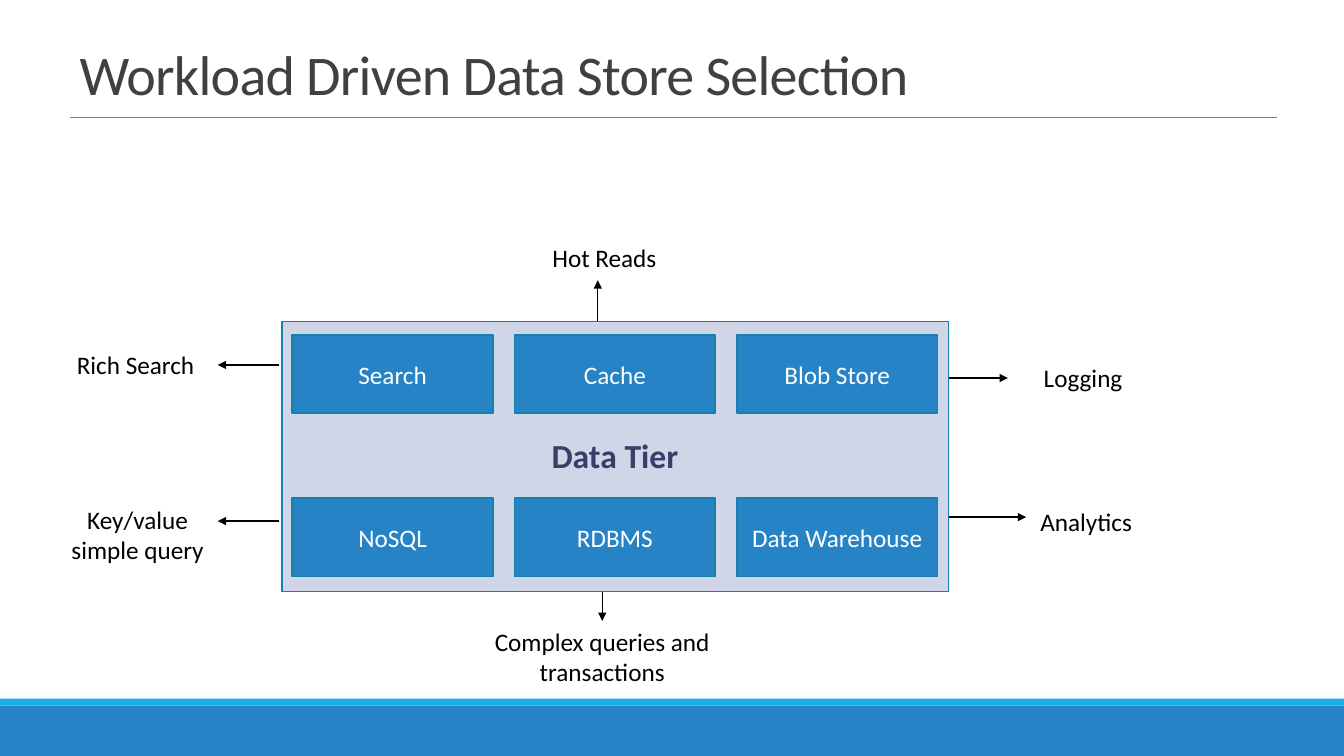
from lxml import etree
from pptx import Presentation
from pptx import util as u
from pptx.dml.color import RGBColor
from pptx.enum import shapes, text
from pptx.oxml import ns

WIDTH, HEIGHT = u.Inches(13.333), u.Inches(7.5)
FONT = "Calibri"
BLUE, EDGE, BLACK = "2683C6", "1580A9", "000000"

# Lengths are percentages of the slide's width and height
BOX_LEFT, BOX_TOP, BOX_WIDTH, BOX_HEIGHT = 21.75, 44.27, 14.93, 10.4
COLUMN_STEP, ROW_STEP = 16.54, 21.6
STORES = [
    ["Search", "Cache", "Blob Store"],
    ["NoSQL", "RDBMS", "Data Warehouse"],
]
LABEL_WIDTH, ONE_LINE, TWO_LINES = 12.98, 5.33, 9.47
LABELS = [
    ("Hot Reads", 38.48, 31.33, ONE_LINE),
    ("Rich Search", 3.6, 45.6, ONE_LINE),
    ("Key/value simple query", 3.75, 66, TWO_LINES),
    ("Logging", 74.1, 47.33, ONE_LINE),
    ("Analytics", 74.33, 66.27, ONE_LINE),
]


def across(share):
    return round(WIDTH * share / 100)


def down(share):
    return round(HEIGHT * share / 100)


def place(left, top, width, height):
    return across(left), down(top), across(width), down(height)


def color(value):
    return RGBColor.from_string(value)


def write(shape, words, size, ink, bold=False,
          align=text.PP_ALIGN.CENTER, anchor=text.MSO_ANCHOR.MIDDLE):
    frame = shape.text_frame
    frame.word_wrap = True
    frame.vertical_anchor = anchor
    paragraph = frame.paragraphs[0]
    paragraph.alignment = align
    run = paragraph.add_run()
    run.text = words
    run.font.name = FONT
    run.font.size = u.Pt(size)
    run.font.bold = bold
    run.font.color.rgb = color(ink)
    return paragraph, run


def add_box(slide, area, fill, edge=None):
    shape = slide.shapes.add_shape(shapes.MSO_SHAPE.RECTANGLE, *place(*area))
    shape.shadow.inherit = False
    shape.fill.solid()
    shape.fill.fore_color.rgb = color(fill)
    if edge:
        shape.line.color.rgb = color(edge)
        shape.line.width = u.Pt(1.25)
    else:
        shape.line.fill.background()
    return shape


def add_line(slide, start, end, ink=BLACK, weight=1, arrow=True):
    line = slide.shapes.add_connector(
        shapes.MSO_CONNECTOR.STRAIGHT,
        across(start[0]), down(start[1]), across(end[0]), down(end[1]))
    line.line.color.rgb = color(ink)
    line.line.width = u.Pt(weight)
    if arrow:
        outline = line.line._get_or_add_ln()
        etree.SubElement(outline, ns.qn("a:tailEnd"), type="triangle")
    etree.SubElement(line._element.spPr, ns.qn("a:effectLst"))
    return line


def add_label(slide, words, left, top, height, width=LABEL_WIDTH):
    label = slide.shapes.add_textbox(*place(left, top, width, height))
    write(label, words, 18, BLACK, anchor=text.MSO_ANCHOR.TOP)
    label.text_frame.auto_size = text.MSO_AUTO_SIZE.SHAPE_TO_FIT_TEXT
    return label


def set_title(slide, words):
    title = slide.shapes.title
    title.left, title.top, title.width, title.height = place(5.18, 4.13, 89.78, 10.67)
    paragraph, run = write(title, words, 40, "404040",
                           align=text.PP_ALIGN.LEFT, anchor=text.MSO_ANCHOR.BOTTOM)
    title.text_frame.auto_size = text.MSO_AUTO_SIZE.NONE
    paragraph.line_spacing = 0.85
    run.font._element.set("spc", "-50")


def add_stores(slide):
    for row, names in enumerate(STORES):
        for column, name in enumerate(names):
            area = (BOX_LEFT + column * COLUMN_STEP, BOX_TOP + row * ROW_STEP,
                    BOX_WIDTH, BOX_HEIGHT)
            write(add_box(slide, area, BLUE, EDGE), name, 18, "FFFFFF")


def main():
    presentation = Presentation()
    presentation.slide_width, presentation.slide_height = WIDTH, HEIGHT
    slide = presentation.slides.add_slide(presentation.slide_layouts[5])

    # Footer bands, title and its rule
    add_box(slide, (0, 93.33, 100, 6.67), BLUE)
    add_box(slide, (0, 92.4, 100, 0.93), "1CADE4")
    add_line(slide, (5.18, 15.47), (95.03, 15.47), "808080", 0.5, arrow=False)
    set_title(slide, "Workload Driven Data Store Selection")

    # Arrows that start behind the data tier
    add_line(slide, (69.15, 50), (75, 50))
    add_line(slide, (44.48, 45.07), (44.48, 37.07))
    query_arrow = add_line(slide, (44.81, 54.67), (44.81, 82.13))

    # Data tier with its stores
    add_box(slide, (21, 42.53, 49.58, 35.73), "D0D5E7", EDGE)
    add_stores(slide)
    tier = slide.shapes.add_textbox(
        *place(BOX_LEFT + COLUMN_STEP, 58.13, BOX_WIDTH, 4.13))
    write(tier, "Data Tier", 24, "344068", bold=True)

    # Arrows beside the data tier
    for height in (48.27, 68.93):
        add_line(slide, (20.78, height), (16.2, height))
    add_line(slide, (70.58, 68.4), (76.35, 68.4))

    # Workload labels
    for label in LABELS:
        add_label(slide, *label)
    queries = add_label(slide, "Complex queries and transactions",
                        35.55, 82.13, TWO_LINES, width=18.52)
    query_arrow.end_connect(queries, 0)

    presentation.save("out.pptx")


if __name__ == "__main__":
    main()
